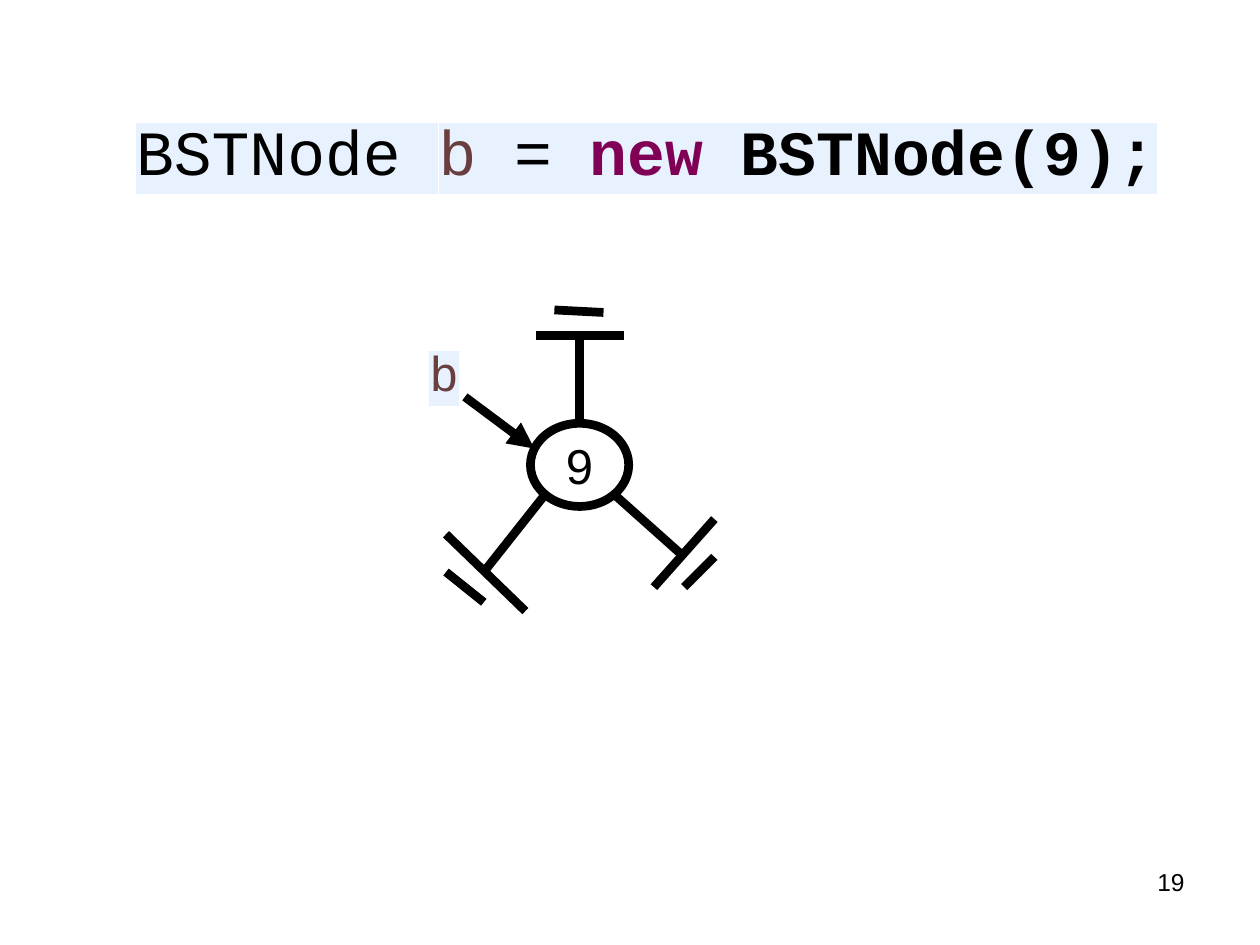
import pptx
import pptx.util
import pptx.dml.color
import pptx.enum.shapes
import pptx.enum.text
import pptx.oxml.ns
from dataclasses import dataclass
from lxml import etree

Inches = pptx.util.Inches
ALIGN = pptx.enum.text.PP_ALIGN
ANCHOR = pptx.enum.text.MSO_ANCHOR
qn = pptx.oxml.ns.qn


@dataclass(frozen=True)
class Theme:
    ink: str = "000000"
    variable: str = "6A3E3E"
    keyword: str = "7F0055"
    highlight: str = "E8F2FE"
    code_font: str = "Courier New"
    body_font: str = "Arial"
    code_size: int = 36
    node_size: int = 28
    number_size: int = 14
    stroke: int = 5


THEME = Theme()


def rgb(color):
    return pptx.dml.color.RGBColor.from_string(color)


def add_run(p, text, font, size, color, bold=False, highlight=None):
    r = p.add_run()
    r.text = text
    r.font.name = font
    r.font.size = pptx.util.Pt(size)
    r.font.bold = bold
    r.font.color.rgb = rgb(color)
    if highlight:
        mark = etree.Element(qn("a:highlight"))
        etree.SubElement(mark, qn("a:srgbClr"), val=highlight)
        r.font._element.find(qn("a:solidFill")).addnext(mark)


def add_code(p, text, size, color, bold=False):
    add_run(p, text, THEME.code_font, size, color, bold, THEME.highlight)


def add_line(s, start, end, arrow=False):
    line = s.shapes.add_connector(pptx.enum.shapes.MSO_CONNECTOR.STRAIGHT, *start, *end)
    line.line.color.rgb = rgb(THEME.ink)
    line.line.width = pptx.util.Pt(THEME.stroke)
    if arrow:
        etree.SubElement(line.line._get_or_add_ln(), qn("a:tailEnd"), type="triangle")
    etree.SubElement(line._element.spPr, qn("a:effectLst"))


def add_title(s, left, top, width, height):
    sp = s.shapes.title
    sp.left, sp.top, sp.width, sp.height = left, top, width, height
    tf = sp.text_frame
    tf.word_wrap = True
    tf.auto_size = pptx.enum.text.MSO_AUTO_SIZE.NONE
    tf.vertical_anchor = ANCHOR.TOP
    p = tf.paragraphs[0]
    p.alignment = ALIGN.LEFT
    for text, color, bold in (
        ("BSTNode ", THEME.ink, False),
        ("b", THEME.variable, False),
        (" = ", THEME.ink, False),
        ("new", THEME.keyword, True),
        (" BSTNode(9);", THEME.ink, True),
    ):
        add_code(p, text, THEME.code_size, color, bold)


def add_node_diagram(s, left, top):
    def at(x, y):
        return left + Inches(x), top + Inches(y)

    node = s.shapes.add_shape(
        pptx.enum.shapes.MSO_SHAPE.OVAL, *at(0.9, 0.9), Inches(0.78), Inches(0.66)
    )
    node.shadow.inherit = False
    node.fill.background()
    node.line.color.rgb = rgb(THEME.ink)
    node.line.width = pptx.util.Pt(THEME.stroke)
    tf = node.text_frame
    tf.vertical_anchor = ANCHOR.MIDDLE
    p = tf.paragraphs[0]
    p.alignment = ALIGN.CENTER
    add_run(p, "9", THEME.body_font, THEME.node_size, THEME.ink)

    label = s.shapes.add_textbox(*at(0, 0.21), Inches(0.42), Inches(0.57))
    label.text_frame.word_wrap = False
    add_code(label.text_frame.paragraphs[0], "b", THEME.node_size, THEME.variable)
    add_line(s, at(0.38, 0.69), at(0.93, 1.1), arrow=True)

    parent = ((1.29, 0.9), (1.29, 0.2)), ((0.94, 0.2), (1.64, 0.2)), ((1.09, 0), (1.48, 0.02))
    left_child = ((1.02, 1.46), (0.53, 2.08)), ((0.23, 1.78), (0.86, 2.39)), ((0.53, 2.32), (0.23, 2.08))
    right_child = ((1.56, 1.46), (2.12, 1.96)), ((1.88, 2.2), (2.36, 1.66)), ((2.12, 2.2), (2.36, 1.96))
    for null_link in (parent, left_child, right_child):
        for start, end in null_link:
            add_line(s, at(*start), at(*end))


def add_slide_number(s, left, top, width, height):
    tf = s.shapes.add_textbox(left, top, width, height).text_frame
    tf.word_wrap = True
    p = tf.paragraphs[0]
    p.alignment = ALIGN.RIGHT
    add_run(p, "19", THEME.body_font, THEME.number_size, THEME.ink)


def main():
    prs = pptx.Presentation()
    prs.slide_width, prs.slide_height = Inches(10), Inches(7.5)
    s = prs.slides.add_slide(prs.slide_layouts[5])
    add_title(s, Inches(0.98), Inches(0.84), Inches(8.35), Inches(0.71))
    add_node_diagram(s, Inches(3.31), Inches(2.46))
    add_slide_number(s, Inches(7.17), Inches(6.83), Inches(2.33), Inches(0.52))
    prs.save("out.pptx")


if __name__ == "__main__":
    main()
